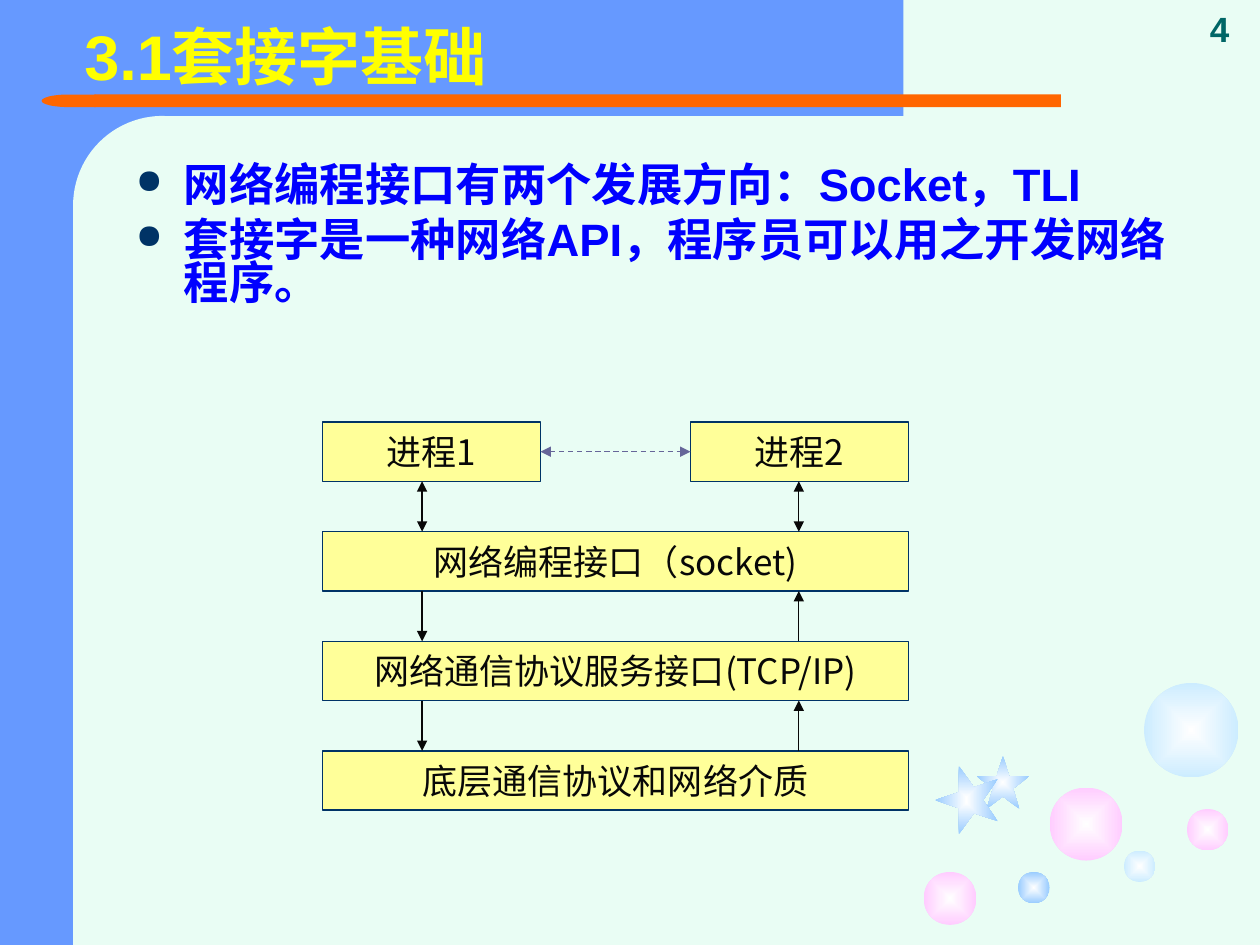
from lxml.etree import SubElement
from pptx import Presentation
from pptx.dml.color import RGBColor
from pptx.enum.dml import MSO_LINE_DASH_STYLE as Dash
from pptx.enum.shapes import MSO_CONNECTOR as Connector, MSO_SHAPE as Shape
from pptx.enum.text import MSO_ANCHOR as Anchor, MSO_AUTO_SIZE as AutoSize, PP_ALIGN as Align
from pptx.oxml.ns import qn
from pptx.util import Inches, Pt

MINT = RGBColor(0xE9, 0xFD, 0xF4)
BLUE = RGBColor(0x66, 0x99, 0xFF)
ORANGE = RGBColor(0xFF, 0x66, 0x00)
YELLOW = RGBColor(0xFF, 0xFF, 0x00)
PALE_YELLOW = RGBColor(0xFF, 0xFF, 0x99)
TEXT_BLUE = RGBColor(0x00, 0x00, 0xFF)
NAVY = RGBColor(0x00, 0x33, 0x66)
TEAL = RGBColor(0x00, 0x66, 0x66)
SLATE = RGBColor(0x66, 0x66, 0x99)
BLACK = RGBColor(0x08, 0x08, 0x08)
WHITE = RGBColor(0xFF, 0xFF, 0xFF)
PINK = RGBColor(0xFF, 0xCC, 0xFF)
ICE = RGBColor(0xCC, 0xEC, 0xFF)
SKY = RGBColor(0x99, 0xCC, 0xFF)


class SlideBuilder:
    title_font = {"name": "Arial", "size": Pt(36), "bold": True}
    body_font = {"name": "Arial", "size": Pt(25.9), "bold": True}
    number_font = {"name": "Arial", "size": Pt(20), "bold": True}
    label_font = {"name": "Noto Sans CJK JP", "size": Pt(20), "bold": False}
    line_width = Pt(0.75)

    def __init__(self, page):
        self.page = page
        page.background.fill.solid()
        page.background.fill.fore_color.rgb = MINT

    def format_values(self, target, values):
        for name, value in values.items():
            setattr(target, name, value)

    def place(self, target, at):
        names = ("left", "top", "width", "height")
        self.format_values(target, dict(zip(names, map(Inches, at))))

    def add_span(self, para, text, font, color):
        span = para.add_run()
        span.text = text
        self.format_values(span.font, font)
        span.font.color.rgb = color

    def title(self, text, at):
        box = self.page.shapes.title
        self.page.shapes._spTree.append(box._element)
        self.place(box, at)
        frame = box.text_frame
        self.format_values(frame, {"vertical_anchor": Anchor.MIDDLE, "auto_size": AutoSize.NONE,
                                   "margin_left": Inches(0.1), "word_wrap": True})
        para = frame.paragraphs[0]
        self.format_values(para, {"alignment": Align.LEFT, "line_spacing": 0.9})
        self.add_span(para, text, self.title_font, YELLOW)

    def shape(self, kind, at, color, rotation=0):
        shape = self.page.shapes.add_shape(kind, *map(Inches, at))
        shape.shadow.inherit = False
        shape.rotation = rotation
        shape.fill.solid()
        shape.fill.fore_color.rgb = color
        shape.line.fill.background()
        return shape

    def glow(self, kind, at, color, rotation=0):
        shape = self.shape(kind, at, color, rotation)
        shape.fill.gradient()
        for stop, shade in zip(shape.fill.gradient_stops, (WHITE, color)):
            stop.color.rgb = shade
        gradient = shape._element.spPr.find(qn("a:gradFill"))
        gradient.remove(gradient.find(qn("a:lin")))
        center = SubElement(gradient, qn("a:path"), {"path": "rect"})
        SubElement(center, qn("a:fillToRect"), dict.fromkeys("ltrb", "50000"))

    def label(self, text, at):
        shape = self.shape(Shape.RECTANGLE, at, PALE_YELLOW)
        shape.line.color.rgb = NAVY
        shape.line.width = self.line_width
        frame = shape.text_frame
        self.format_values(frame, {"vertical_anchor": Anchor.MIDDLE, "word_wrap": False})
        para = frame.paragraphs[0]
        para.alignment = Align.CENTER
        self.add_span(para, text, self.label_font, BLACK)

    def arrow(self, start, end, color=BLACK, both=False, dash=None):
        ends = map(Inches, (*start, *end))
        arrow = self.page.shapes.add_connector(Connector.STRAIGHT, *ends)
        arrow.line.color.rgb = color
        arrow.line.width = self.line_width
        if dash:
            arrow.line.dash_style = dash
        line = arrow.line._get_or_add_ln()
        for tag in ("a:headEnd", "a:tailEnd") if both else ("a:tailEnd",):
            SubElement(line, qn(tag), {"type": "triangle"})
        SubElement(arrow._element.spPr, qn("a:effectLst"))

    def bullets(self, texts, at):
        frame = self.page.shapes.add_textbox(*map(Inches, at)).text_frame
        self.format_values(frame, {"word_wrap": True, "margin_top": Inches(0.1)})
        for index, text in enumerate(texts):
            para = frame.add_paragraph() if index else frame.paragraphs[0]
            self.format_values(para, {"line_spacing": Pt(24.6),
                                      "space_before": Pt(7 if index else 0)})
            props = para._p.get_or_add_pPr()
            props.set("marL", str(Inches(0.38)))
            props.set("indent", str(-Inches(0.38)))
            color = SubElement(props, qn("a:buClr"))
            SubElement(color, qn("a:srgbClr"), val=str(NAVY))
            SubElement(props, qn("a:buSzPct"), val="75000")
            SubElement(props, qn("a:buChar"), char="●")
            self.add_span(para, text, self.body_font, TEXT_BLUE)

    def number(self, text, at):
        frame = self.page.shapes.add_textbox(*map(Inches, at)).text_frame
        self.format_values(frame, {"word_wrap": True, "vertical_anchor": Anchor.BOTTOM})
        para = frame.paragraphs[0]
        para.alignment = Align.CENTER
        self.add_span(para, text, self.number_font, TEAL)


def draw_backdrop(slide):
    slide.shape(Shape.RECTANGLE, (0, 0, 1.25, 7.5), BLUE)
    slide.shape(Shape.RECTANGLE, (0.5, 0, 6.67, 0.92), BLUE)
    panel = slide.shape(Shape.ROUNDED_RECTANGLE, (0.58, 0.92, 1.42, 5.75), MINT)
    panel.adjustments[0] = 0.5
    slide.shape(Shape.RECTANGLE, (0.75, 0.75, 7.67, 0.1), ORANGE)
    slide.shape(Shape.FLOWCHART_DELAY, (0.33, 0.75, 0.43, 0.1), ORANGE, 180)
    slide.shape(Shape.RECTANGLE, (0.58, 5.92, 1.42, 1.58), MINT)
    bubbles = [(8.33, 6.25, 0.58, PINK), (7.33, 6.92, 0.42, PINK), (8.92, 6.75, 0.25, ICE),
               (9.42, 6.42, 0.33, PINK), (9.08, 5.42, 0.75, ICE), (8.08, 6.92, 0.25, SKY)]
    for left, top, size, color in bubbles:
        slide.glow(Shape.OVAL, (left, top, size, size), color)
    slide.glow(Shape.STAR_5_POINT, (7.75, 6, 0.42, 0.42), SKY)
    slide.glow(Shape.STAR_5_POINT, (7.4, 6.1, 0.54, 0.5), SKY, 270)


def draw_layers(slide):
    left, width, height, process_width = 2.56, 4.65, 0.47, 1.73
    down_x, up_x = 3.35, 6.34
    tops = [3.35 + 0.87 * row for row in range(4)]
    second_left = left + width - process_width
    slide.label("进程1", (left, tops[0], process_width, height))
    slide.label("进程2", (second_left, tops[0], process_width, height))
    middle = tops[0] + height / 2
    slide.arrow((left + process_width, middle), (second_left, middle), SLATE, True, Dash.DASH)
    layers = ["网络编程接口（socket)", "网络通信协议服务接口(TCP/IP)", "底层通信协议和网络介质"]
    for text, top in zip(layers, tops[1:]):
        slide.label(text, (left, top, width, height))
    for row, (upper, lower) in enumerate(zip(tops, tops[1:])):
        bottom = upper + height
        slide.arrow((down_x, bottom), (down_x, lower), both=row == 0)
        slide.arrow((up_x, lower), (up_x, bottom), both=row == 0)


def main():
    deck = Presentation()
    deck.slide_width, deck.slide_height = Inches(10), Inches(7.5)
    slide = SlideBuilder(deck.slides.add_slide(deck.slide_layouts[5]))
    draw_backdrop(slide)
    slide.title("3.1套接字基础", (0.57, 0.21, 8.38, 0.53))
    slide.bullets(["网络编程接口有两个发展方向：Socket，TLI",
                   "套接字是一种网络API，程序员可以用之开发网络程序。"], (0.98, 1.23, 8.5, 1.5))
    draw_layers(slide)
    slide.number("4", (9.36, 0, 0.64, 0.44))
    deck.save("out.pptx")


if __name__ == "__main__":
    main()
